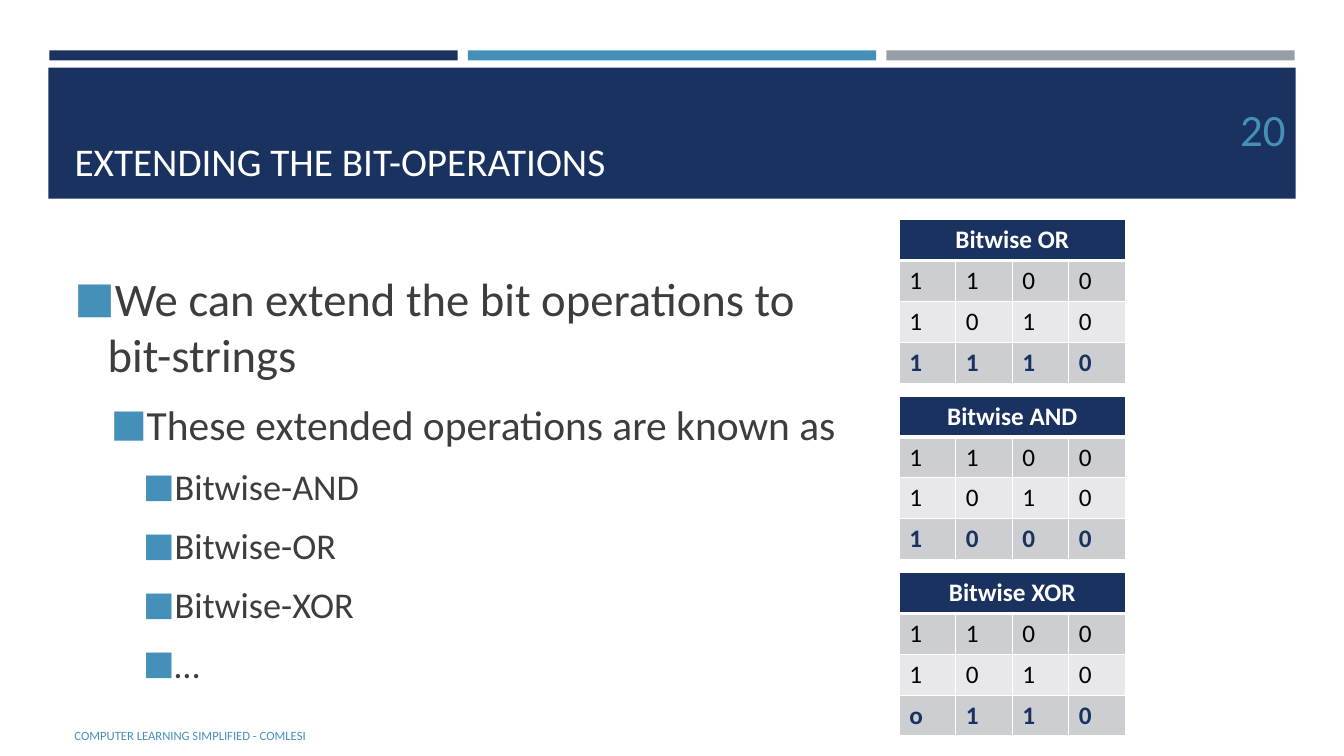
import dataclasses
import typing

import lxml.etree
import pptx
import pptx.dml.color
import pptx.enum.shapes
import pptx.enum.text
import pptx.oxml.ns
import pptx.util

Inches = pptx.util.Inches
Align = pptx.enum.text.PP_ALIGN
Anchor = pptx.enum.text.MSO_ANCHOR


@dataclasses.dataclass(frozen=True)
class Theme:
    font: str = "Calibri"
    navy: str = "1A3260"
    blue: str = "4590B8"
    gray: str = "969FA7"
    white: str = "FFFFFF"
    black: str = "000000"
    body: str = "3D3D3D"
    dark_band: str = "CDCED2"
    light_band: str = "E8E8EA"
    title_size: float = 28
    number_size: float = 32
    footer_size: float = 9
    table_size: float = 18
    bullet_percent: int = 92


THEME = Theme()


class Box(typing.NamedTuple):
    left: float
    top: float
    width: float
    height: float

    def lengths(self) -> list[int]:
        return [Inches(value) for value in self]


class Band(typing.NamedTuple):
    box: Box
    color: str


class Level(typing.NamedTuple):
    size: float
    left: float
    hanging: float


class Bullet(typing.NamedTuple):
    text: str
    level: int


class BitTable(typing.NamedTuple):
    name: str
    result: str


class RowStyle(typing.NamedTuple):
    fill: str
    color: str
    bold: bool


BAR_PITCH = 4.15
BARS = [
    Band(Box(0.49 + BAR_PITCH * index, 0.5, 4.05, 0.1), color)
    for index, color in enumerate([THEME.navy, THEME.blue, THEME.gray])
]
BANNER = Band(Box(0.48, 0.67, 12.37, 1.3), THEME.navy)

LEVELS = [Level(33.3, 0.33, 0.33), Level(29.6, 0.69, 0.33), Level(25.9, 0.98, 0.3)]
BULLETS = [
    Bullet("We can extend the bit operations to bit-strings", 0),
    Bullet("These extended operations are known as", 1),
    Bullet("Bitwise-AND", 2),
    Bullet("Bitwise-OR", 2),
    Bullet("Bitwise-XOR", 2),
    Bullet("…", 2),
]

OPERANDS = ["1100", "1010"]
BIT_TABLES = [
    BitTable("Bitwise OR", "1110"),
    BitTable("Bitwise AND", "1000"),
    BitTable("Bitwise XOR", "o110"),
]
BIT_ROWS = [
    RowStyle(THEME.dark_band, THEME.black, False),
    RowStyle(THEME.light_band, THEME.black, False),
    RowStyle(THEME.dark_band, THEME.navy, True),
]
TABLE_PITCH = 1.75


def rgb(color: str) -> pptx.dml.color.RGBColor:
    return pptx.dml.color.RGBColor.from_string(color)


def add_run(para, text: str, size: float, color: str, bold: bool = False) -> None:
    span = para.add_run()
    span.text = text
    span.font.name = THEME.font
    span.font.size = pptx.util.Pt(size)
    span.font.color.rgb = rgb(color)
    span.font.bold = bold


def add_child(parent, tag: str, **attributes: str):
    return lxml.etree.SubElement(parent, pptx.oxml.ns.qn(tag), attributes)


def add_band(page, band: Band):
    shape = page.shapes.add_shape(
        pptx.enum.shapes.MSO_SHAPE.RECTANGLE, *band.box.lengths()
    )
    shape.shadow.inherit = False
    shape.fill.solid()
    shape.fill.fore_color.rgb = rgb(band.color)
    shape.line.fill.background()
    return shape


def format_frame(frame, anchor):
    frame.word_wrap = True
    frame.auto_size = pptx.enum.text.MSO_AUTO_SIZE.NONE
    frame.vertical_anchor = anchor
    return frame


def add_text_box(page, box: Box):
    shape = page.shapes.add_textbox(*box.lengths())
    return format_frame(shape.text_frame, Anchor.MIDDLE)


def add_label(page, box: Box, text: str, size: float, align) -> None:
    para = add_text_box(page, box).paragraphs[0]
    para.alignment = align
    add_run(para, text, size, THEME.blue)


def place_title(page, banner, text: str) -> None:
    title = page.shapes.title
    banner.element.addnext(title.element)
    title.left, title.top, title.width, title.height = Box(
        0.64, 0.77, 12.06, 1.11
    ).lengths()
    para = format_frame(title.text_frame, Anchor.BOTTOM).paragraphs[0]
    para.alignment = Align.LEFT
    add_run(para, text, THEME.title_size, THEME.white)


def add_bullets(page, box: Box, bullets: list[Bullet]) -> None:
    frame = add_text_box(page, box)
    for index, bullet in enumerate(bullets):
        para = frame.add_paragraph() if index else frame.paragraphs[0]
        level = LEVELS[bullet.level]
        para.level = bullet.level
        para.space_before = pptx.util.Pt(round(level.size * 0.2, 1))
        para.space_after = pptx.util.Pt(6)
        add_run(para, bullet.text, level.size, THEME.body)
        properties = para._p.get_or_add_pPr()
        properties.set("marL", str(Inches(level.left)))
        properties.set("indent", str(-Inches(level.hanging)))
        add_child(add_child(properties, "a:buClr"), "a:srgbClr", val=THEME.blue)
        add_child(properties, "a:buSzPct", val=str(THEME.bullet_percent * 1000))
        add_child(properties, "a:buFont", typeface=THEME.font)
        add_child(properties, "a:buChar", char="■")


def style_cell(cell, fill: str, top: float = 1, bottom: float = 1) -> None:
    properties = cell._tc.get_or_add_tcPr()
    for side, width in {"L": 1, "R": 1, "T": top, "B": bottom}.items():
        line = add_child(properties, f"a:ln{side}", w=str(pptx.util.Pt(width)))
        add_child(add_child(line, "a:solidFill"), "a:srgbClr", val=THEME.white)
    cell.fill.solid()
    cell.fill.fore_color.rgb = rgb(fill)


def add_bit_table(page, box: Box, bit_table: BitTable) -> None:
    table = page.shapes.add_table(4, 4, *box.lengths()).table
    table.horz_banding = False
    for column in range(4):
        style_cell(table.cell(0, column), THEME.navy, bottom=3)
    header = table.cell(0, 0)
    header.merge(table.cell(0, 3))
    para = header.text_frame.paragraphs[0]
    para.alignment = Align.CENTER
    add_run(para, bit_table.name, THEME.table_size, THEME.white, True)
    rows = zip(OPERANDS + [bit_table.result], BIT_ROWS)
    for row, (bits, style) in enumerate(rows, start=1):
        for column, bit in enumerate(bits):
            cell = table.cell(row, column)
            style_cell(cell, style.fill, top=3 if row == 1 else 1)
            para = cell.text_frame.paragraphs[0]
            add_run(para, bit, THEME.table_size, style.color, style.bold)


def main() -> None:
    deck = pptx.Presentation()
    deck.slide_width, deck.slide_height = Inches(13.33), Inches(7.5)
    page = deck.slides.add_slide(deck.slide_layouts.get_by_name("Title Only"))
    for bar in BARS:
        add_band(page, bar)
    place_title(page, add_band(page, BANNER), "EXTENDING THE BIT-OPERATIONS")
    add_bullets(page, Box(0.64, 2.38, 7.89, 4.72), BULLETS)
    footer = "COMPUTER LEARNING SIMPLIFIED - COMLESI"
    add_label(page, Box(0.64, 7.1, 7.56, 0.4), footer, THEME.footer_size, Align.LEFT)
    add_label(page, Box(11.7, 1.08, 1.15, 0.4), "20", THEME.number_size, Align.RIGHT)
    for index, bit_table in enumerate(BIT_TABLES):
        box = Box(8.92, 2.18 + TABLE_PITCH * index, 2.24, 1.62)
        add_bit_table(page, box, bit_table)
    deck.save("out.pptx")


if __name__ == "__main__":
    main()
